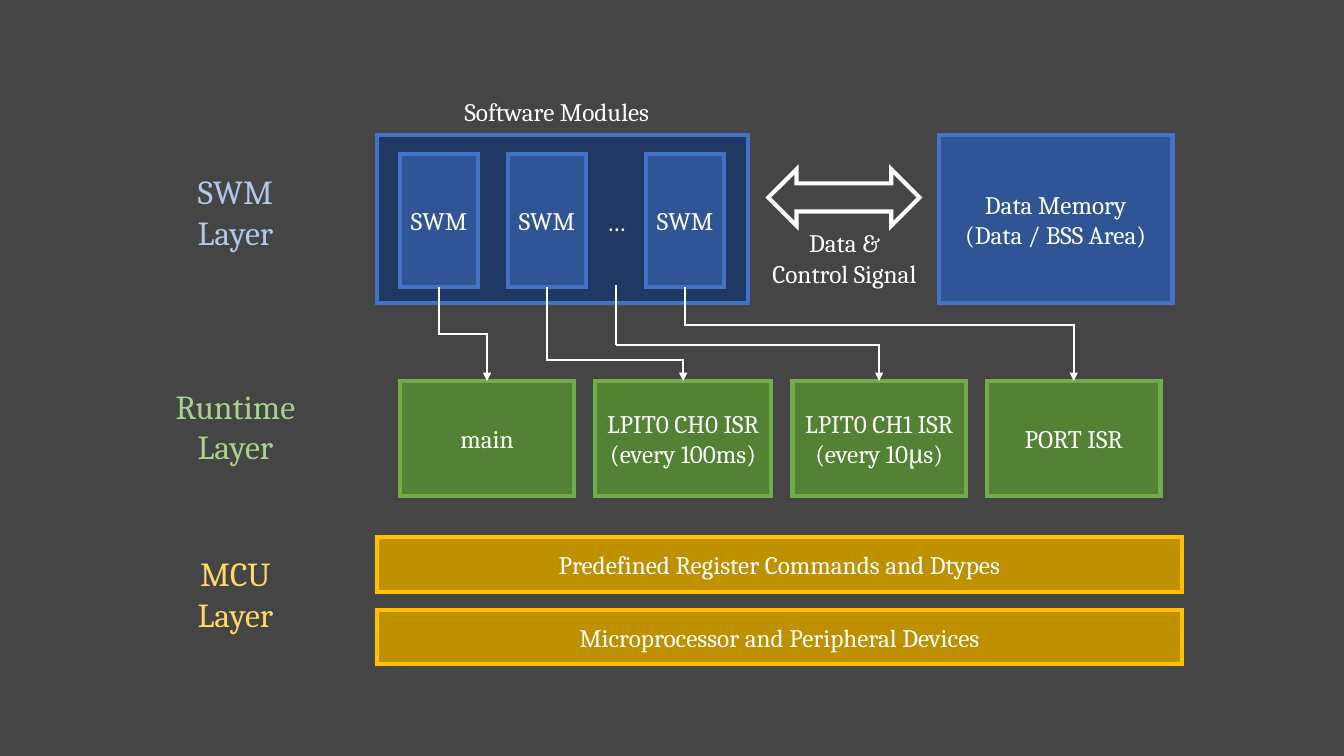
from dataclasses import dataclass
from typing import Optional

from lxml import etree
from pptx import Presentation
from pptx import util as u
from pptx.dml import color
from pptx.enum import shapes, text
from pptx.oxml import ns

HUES = {
    "back": "454545", "white": "FFFFFF",
    "navy": "203864", "blue": "2F5597", "sky": "4472C4", "pale": "B4C7E7",
    "green": "548235", "lime": "70AD47", "mint": "A9D18E",
    "gold": "BF9000", "amber": "FFC000", "lemon": "FFD966",
}
FONT = "Cambria"
RECT = shapes.MSO_SHAPE.RECTANGLE
ARROW = shapes.MSO_SHAPE.LEFT_RIGHT_ARROW
MID, TOP = text.MSO_ANCHOR.MIDDLE, text.MSO_ANCHOR.TOP
CENTER, LEFT = text.PP_ALIGN.CENTER, text.PP_ALIGN.LEFT
SWM_TOP, SWM_TALL = 1.53, 1.32
RUN_TOP, RUN_TALL = 3.78, 1.14


@dataclass
class Box:
    """A filled shape with centred words."""
    left: float
    top: float
    width: float
    height: float
    fill: Optional[str]
    edge: str
    words: str = ""
    form: shapes.MSO_SHAPE = RECT


@dataclass
class Label:
    """Words without a frame."""
    left: float
    top: float
    width: float
    height: float
    words: str
    hue: str = "white"
    size: int = 18
    wrap: bool = False
    anchor: text.MSO_ANCHOR = TOP
    align: text.PP_ALIGN = CENTER


@dataclass
class Call:
    """An elbow from a module to a runtime box, bent at a share of its drop."""
    module: int
    target: int
    bend: float


PANELS = [
    Box(3.74, 1.34, 3.68, 1.67, "navy", "sky"),
    Box(9.31, 1.34, 2.32, 1.67, "blue", "sky", "Data Memory\n(Data / BSS Area)"),
    Box(7.62, 1.68, 1.5, 0.56, None, "white", form=ARROW),
] + [
    Box(3.74, 5.33 + 0.72 * row, 7.98, 0.54, "gold", "amber", words)
    for row, words in enumerate(["Predefined Register Commands and Dtypes",
                                 "Microprocessor and Peripheral Devices"])
]
MODULES = [Box(left, SWM_TOP, 0.77, SWM_TALL, "blue", "sky", "SWM")
           for left in (3.97, 5.04, 6.41)]
TASKS = [Box(left, RUN_TOP, width, RUN_TALL, "green", "lime", words)
         for left, width, words in [
             (3.97, 1.72, "main"),
             (5.9, 1.75, "LPIT0 CH0 ISR\n(every 100ms)"),
             (7.86, 1.72, "LPIT0 CH1 ISR\n(every 10μs)"),
             (9.79, 1.72, "PORT ISR")]]
LABELS = [
    Label(5.87, 1.5, 0.48, 1.39, "…", wrap=True, anchor=MID),
    Label(7.49, 2.21, 1.77, 0.71, "Data &\nControl Signal", wrap=True),
    Label(4.51, 0.91, 2.14, 0.4, "Software Modules", align=LEFT),
    Label(1.83, 1.65, 1.01, 0.91, "SWM\nLayer", "pale", 24),
    Label(1.62, 3.78, 1.43, 0.91, "Runtime\nLayer", "mint", 24),
    Label(1.83, 5.44, 1.01, 0.91, "MCU\nLayer", "lemon", 24),
]
CALLS = [Call(0, 0, 0.5), Call(1, 1, 0.78), Call(2, 3, 0.4)]


def tint(name: str) -> color.RGBColor:
    """Return a named colour."""
    return color.RGBColor.from_string(HUES[name])


def write(frame, words: str, hue: str, size: int, align) -> None:
    """Fill a text frame, one paragraph to a line."""
    for i, line in enumerate(words.split("\n")):
        para = frame.paragraphs[0] if i == 0 else frame.add_paragraph()
        para.alignment = align
        run = para.add_run()
        run.text = line
        run.font.name = FONT
        run.font.size = u.Pt(size)
        run.font.color.rgb = tint(hue)


def stroke(line, hue: str, width: float):
    """Colour a line, give it sharp corners and return its element."""
    line.color.rgb = tint(hue)
    line.width = u.Pt(width)
    edge = line._get_or_add_ln()
    etree.SubElement(edge, ns.qn("a:miter")).set("lim", "800000")
    return edge


def draw_box(slide, box: Box):
    """Draw a box and return its shape."""
    shape = slide.shapes.add_shape(box.form, *map(
        u.Inches, (box.left, box.top, box.width, box.height)))
    shape.shadow.inherit = False
    if box.fill:
        shape.fill.solid()
        shape.fill.fore_color.rgb = tint(box.fill)
    else:
        shape.fill.background()
    stroke(shape.line, box.edge, 3)
    if box.words:
        shape.text_frame.vertical_anchor = MID
        write(shape.text_frame, box.words, "white", 18, CENTER)
    return shape


def draw_label(slide, label: Label) -> None:
    """Draw a label."""
    frame = slide.shapes.add_textbox(*map(
        u.Inches, (label.left, label.top, label.width, label.height))).text_frame
    frame.word_wrap = label.wrap
    frame.vertical_anchor = label.anchor
    write(frame, label.words, label.hue, label.size, label.align)


def draw_wire(slide, kind, start: tuple, end: tuple, head: bool = True):
    """Draw a thin white connector and return it."""
    wire = slide.shapes.add_connector(kind, *map(u.Inches, start + end))
    edge = stroke(wire.line, "white", 1.5)
    if head:
        etree.SubElement(edge, ns.qn("a:tailEnd")).set("type", "triangle")
    etree.SubElement(wire._element.spPr, ns.qn("a:effectLst"))
    return wire


def draw_call(slide, call: Call, modules: list, tasks: list) -> None:
    """Join a module to a task, leaving and arriving upright."""
    wire = draw_wire(slide, shapes.MSO_CONNECTOR.ELBOW, (0, 0), (1, 1))
    wire.begin_connect(modules[call.module], 2)
    wire.end_connect(tasks[call.target], 0)
    wide, tall = wire.width, wire.height
    wire.left += (wide - tall) // 2
    wire.top += (tall - wide) // 2
    wire.width, wire.height = tall, wide
    props = wire._element.spPr
    turn = props.find(ns.qn("a:xfrm"))
    turn.set("rot", str(270 * 60000))
    turn.set("flipH", "1")
    guide = etree.SubElement(props.find(".//" + ns.qn("a:avLst")), ns.qn("a:gd"))
    guide.set("name", "adj1")
    guide.set("fmla", f"val {round(call.bend * 100000)}")


def main() -> None:
    """Build the layer diagram."""
    deck = Presentation()
    deck.slide_width, deck.slide_height = u.Inches(13.33), u.Inches(7.5)
    slide = deck.slides.add_slide(deck.slide_layouts[6])
    slide.background.fill.solid()
    slide.background.fill.fore_color.rgb = tint("back")
    for panel in PANELS:
        draw_box(slide, panel)
    modules = [draw_box(slide, box) for box in MODULES]
    tasks = [draw_box(slide, box) for box in TASKS]
    for label in LABELS:
        draw_label(slide, label)
    for call in CALLS:
        draw_call(slide, call, modules, tasks)
    stem, turn = (6.11, 2.83), (6.11, 3.42)
    draw_wire(slide, shapes.MSO_CONNECTOR.STRAIGHT, stem, turn, head=False)
    bent = draw_wire(slide, shapes.MSO_CONNECTOR.ELBOW, turn, (8.72, RUN_TOP))
    bent.end_connect(tasks[2], 0)
    bent._element.spPr.find(ns.qn("a:prstGeom")).set("prst", "bentConnector2")
    deck.save("out.pptx")


if __name__ == "__main__":
    main()
